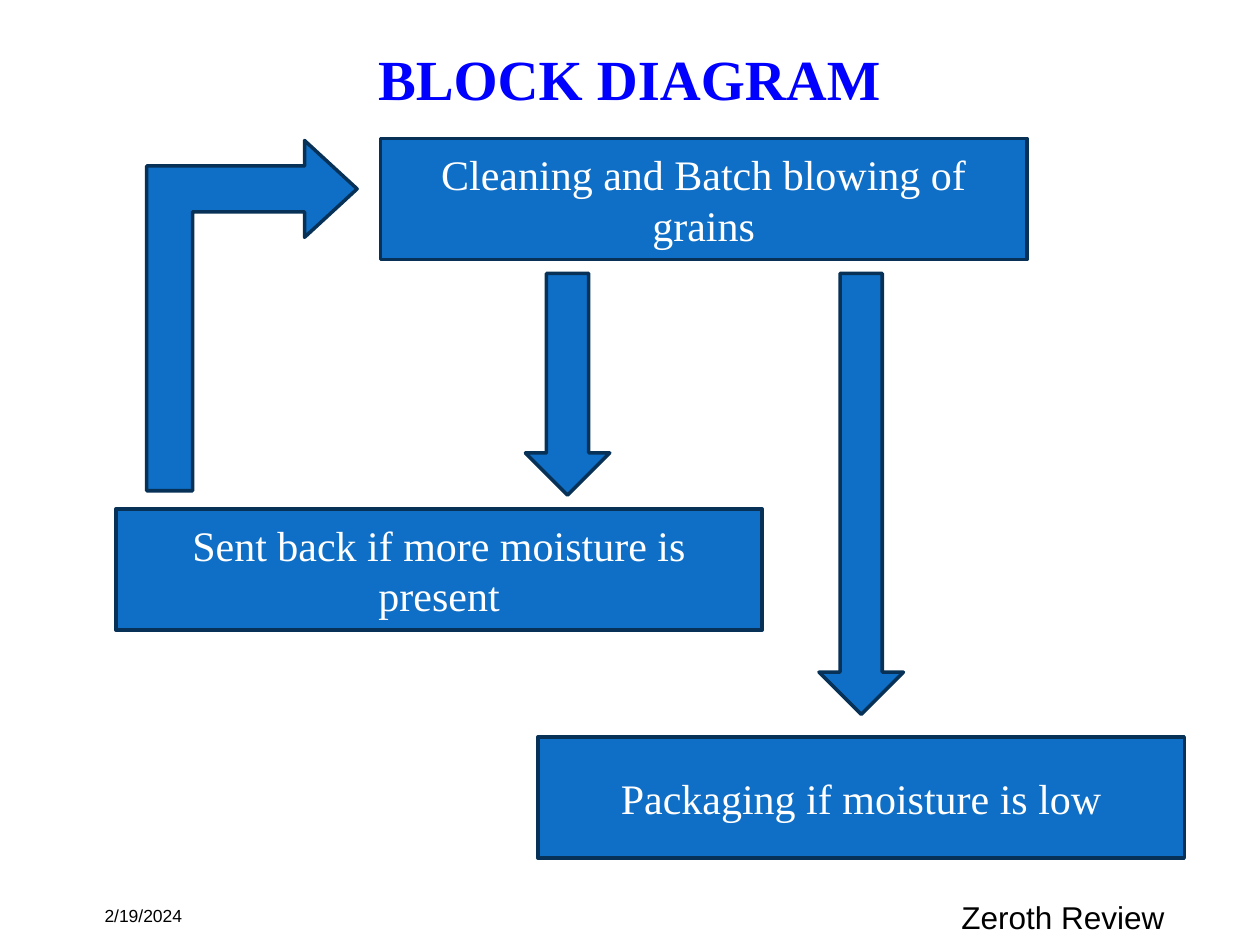
"""Build the grain cleaning block diagram slide."""
from dataclasses import dataclass

from pptx import Presentation
from pptx.dml.color import RGBColor
from pptx.enum import shapes, text
from pptx.util import Inches, Pt

BLUE = RGBColor(0x0F, 0x6F, 0xC6)
NAVY = RGBColor(0x07, 0x31, 0x57)
TITLE = RGBColor(0x00, 0x00, 0xFF)
WHITE = RGBColor(0xFF, 0xFF, 0xFF)
BLACK = RGBColor(0x00, 0x00, 0x00)
SERIF, SANS = "Times New Roman", "Arial"
KIND, ALIGN, ANCHOR = shapes.MSO_SHAPE, text.PP_ALIGN, text.MSO_ANCHOR


@dataclass
class Step:
    label: str
    left: float
    top: float


@dataclass
class Arrow:
    left: float
    top: float
    width: float
    height: float
    kind: int = KIND.DOWN_ARROW


STEPS = [
    Step("Cleaning and Batch blowing of grains", 3.02, 1.1),
    Step("Sent back if more moisture is present", 0.92, 4.04),
    Step("Packaging if moisture is low", 4.27, 5.85),
]
DROPS = [Arrow(4.17, 2.17, 0.67, 1.76), Arrow(6.5, 2.17, 0.67, 3.5)]
RETURN = Arrow(0.61, 1.67, 2.78, 1.67, KIND.BENT_UP_ARROW)


def write(shape, words: str, *, size: float, font: str = SERIF, color=BLACK,
          bold: bool = False, align=ALIGN.CENTER, anchor=ANCHOR.MIDDLE,
          inset: tuple = (0.1, 0.05)) -> None:
    frame = shape.text_frame
    frame.word_wrap = True
    frame.auto_size = text.MSO_AUTO_SIZE.NONE
    frame.vertical_anchor = anchor
    frame.margin_left = frame.margin_right = Inches(inset[0])
    frame.margin_top = frame.margin_bottom = Inches(inset[1])
    par = frame.paragraphs[0]
    par.alignment = align
    run = par.add_run()
    run.text = words
    run.font.name, run.font.size, run.font.bold = font, Pt(size), bold
    run.font.color.rgb = color


def block(slide, kind, *rect: float):
    shape = slide.shapes.add_shape(kind, *map(Inches, rect))
    shape.shadow.inherit = False
    shape.fill.solid()
    shape.fill.fore_color.rgb = BLUE
    shape.line.color.rgb = NAVY
    shape.line.width = Pt(2)
    return shape


def draw_step(slide, step: Step) -> None:
    shape = block(slide, KIND.RECTANGLE, step.left, step.top, 5.13, 0.96)
    write(shape, step.label, size=24, color=WHITE)


def draw_arrow(slide, arrow: Arrow):
    return block(slide, arrow.kind, arrow.left, arrow.top, arrow.width, arrow.height)


def draw_return(slide, arrow: Arrow) -> None:
    shape = draw_arrow(slide, arrow)
    for index, value in enumerate((0.218, 0.23, 0.25)):
        shape.adjustments[index] = value
    shape.rotation = 90
    shape._element.spPr.xfrm.set("flipH", "1")


def main() -> None:
    deck = Presentation()
    deck.slide_width, deck.slide_height = Inches(10), Inches(7.5)
    slide = deck.slides.add_slide(deck.slide_layouts[5])

    title = slide.shapes.title
    title.left, title.top = Inches(0.83), Inches(0.2)
    title.width, title.height = Inches(8.33), Inches(0.83)
    write(title, "BLOCK DIAGRAM", size=32.4, color=TITLE, bold=True, inset=(0, 0))

    review = slide.shapes.add_textbox(*map(Inches, (5.58, 7.08, 3.83, 0.42)))
    write(review, "Zeroth Review ", size=18, font=SANS, align=ALIGN.RIGHT,
          anchor=ANCHOR.TOP)
    date = slide.shapes.add_textbox(*map(Inches, (0.83, 6.95, 2.33, 0.4)))
    write(date, "2/19/2024", size=10, font=SANS, align=ALIGN.LEFT,
          anchor=ANCHOR.BOTTOM, inset=(0, 0))

    for step in STEPS:
        draw_step(slide, step)
    for drop in DROPS:
        draw_arrow(slide, drop)
    draw_return(slide, RETURN)
    deck.save("out.pptx")


if __name__ == "__main__":
    main()
